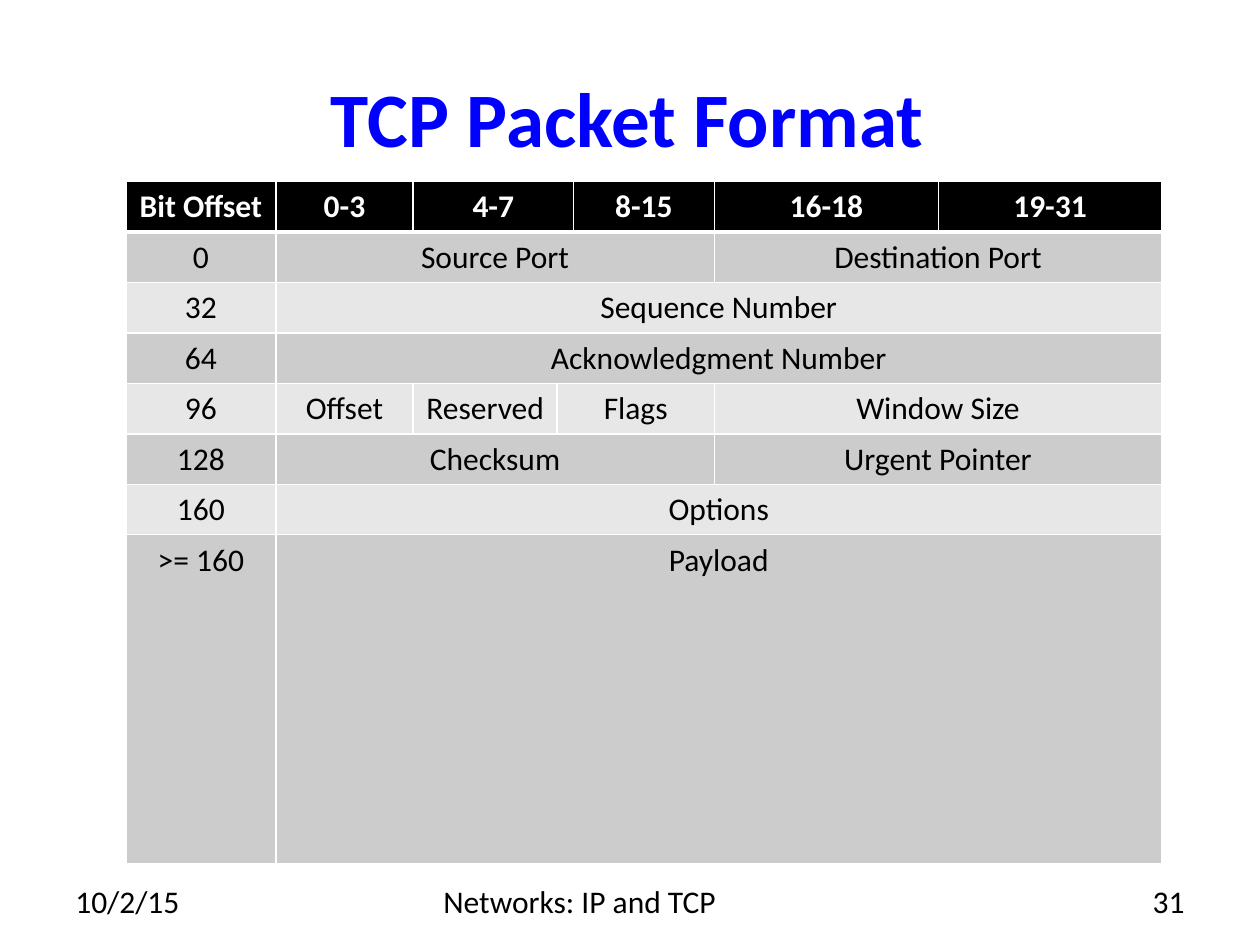
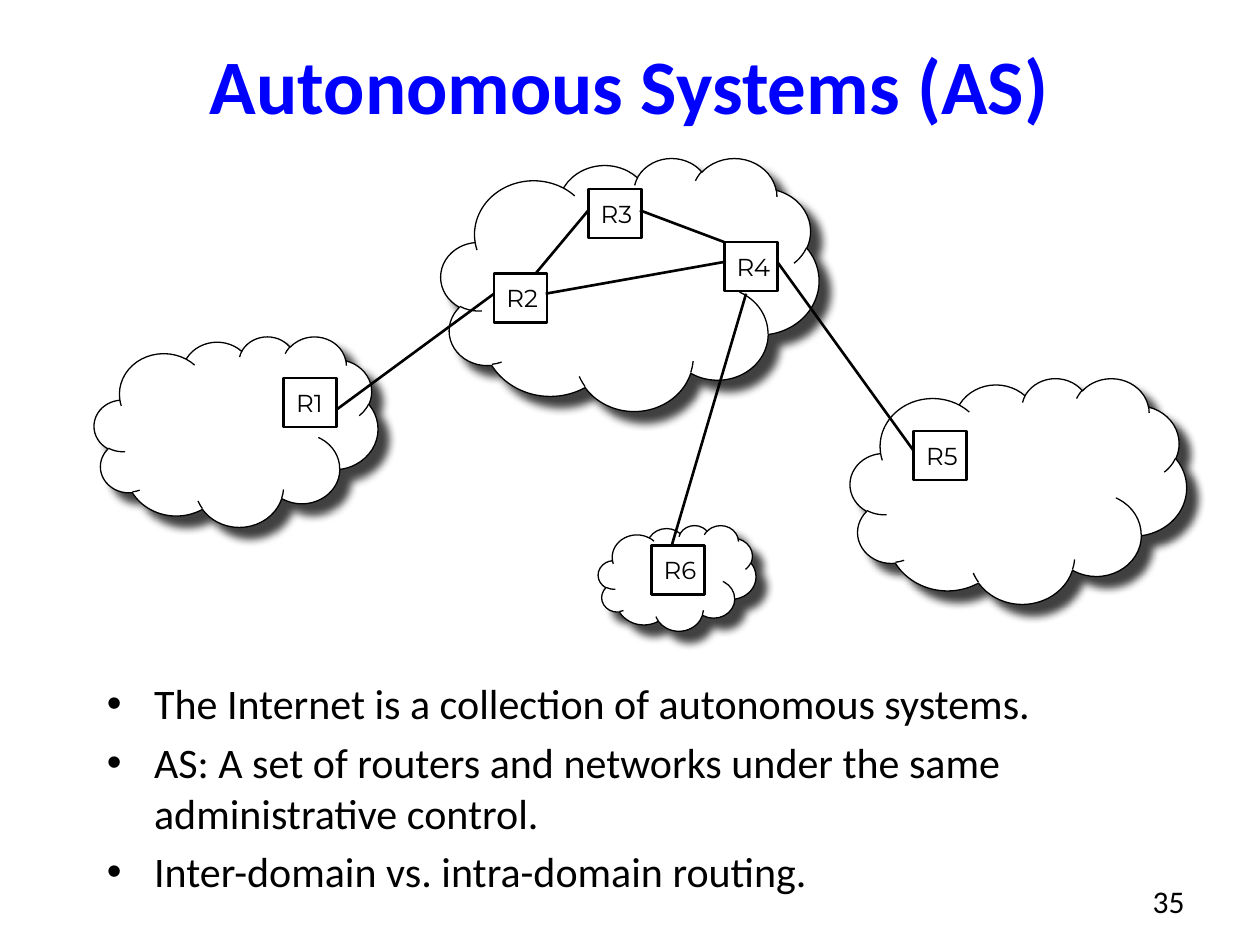
from dataclasses import dataclass

from lxml.etree import SubElement
from pptx import Presentation
from pptx.dml.color import RGBColor
from pptx.enum.shapes import MSO_CONNECTOR as Link, MSO_SHAPE as Preset
from pptx.enum.text import MSO_ANCHOR as Anchor, MSO_AUTO_SIZE as AutoSize, PP_ALIGN as Align
from pptx.oxml.ns import qn
from pptx.util import Cm, Pt


@dataclass(frozen=True)
class Theme:
    ink: str = "000000"
    paper: str = "FFFFFF"
    title: str = "0000FF"
    dark_band: str = "CCCCCC"
    light_band: str = "E7E7E7"
    font: str = "Calibri"
    label_font: str = "Montserrat"
    title_size: int = 44
    body_size: int = 24
    small_size: int = 18
    label_size: int = 14
    thin: float = 0.75
    medium: float = 1.5


THEME = Theme()
TITLE_ONLY, TITLE_AND_LIST = 5, 1
FOOTER_TOP, FOOTER_HEIGHT = 17.65, 1.02

# Header fields: each cell is (text, columns covered)
COLUMN_WIDTHS = [3.02, 2.77, 2.9, 0.33, 2.84, 4.52, 4.5]
ROW_HEIGHTS = [0.86] * 7 + [6.63]
PACKET_ROWS = [
    [("Bit Offset", 1), ("0-3", 1), ("4-7", 2), ("8-15", 1), ("16-18", 1), ("19-31", 1)],
    [("0", 1), ("Source Port", 4), ("Destination Port", 2)],
    [("32", 1), ("Sequence Number", 6)],
    [("64", 1), ("Acknowledgment Number", 6)],
    [("96", 1), ("Offset", 1), ("Reserved", 1), ("Flags", 2), ("Window Size", 2)],
    [("128", 1), ("Checksum", 4), ("Urgent Pointer", 2)],
    [("160", 1), ("Options", 6)],
    [(">= 160", 1), ("Payload", 6)],
]

# Network map: clouds are left, top, width, height; links are x1, y1, x2, y2
CLOUDS = [
    (17.14, 7.62, 6.78, 4.55),
    (1.9, 6.78, 5.72, 3.84),
    (8.89, 3.18, 7.62, 5.1),
    (12.06, 10.59, 3.18, 2.13),
]
ROUTERS = {
    "R1": (5.72, 7.62),
    "R2": (9.96, 5.51),
    "R3": (11.86, 3.81),
    "R4": (14.6, 4.88),
    "R5": (18.42, 8.69),
    "R6": (13.13, 11),
}
LINKS = [
    (6.78, 8.26, 9.96, 5.92),
    (11, 5.92, 14.6, 5.28),
    (15.67, 5.28, 18.42, 9.09),
    (13.54, 11, 15.04, 5.92),
    (12.9, 4.24, 14.6, 4.88),
    (10.8, 5.51, 11.86, 4.24),
]
AS_POINTS = [
    "The Internet is a collection of autonomous systems.",
    "AS: A set of routers and networks under the same administrative control.",
    "Inter-domain vs. intra-domain routing.",
]


def rgb(value):
    return RGBColor.from_string(value)


def assign(target, **values):
    for name, value in values.items():
        setattr(target, name, value)


class SlideBuilder:
    def __init__(self, deck, theme):
        self.deck = deck
        self.theme = theme
        self.page = None

    def new_page(self, layout):
        self.page = self.deck.slides.add_slide(self.deck.slide_layouts[layout])

    def add_text(self, para, text, color, size, font=None, bold=False, align=Align.LEFT):
        para.alignment = align
        span = para.add_run()
        span.text = text
        assign(span.font, name=font or self.theme.font, size=Pt(size), bold=bold)
        span.font.color.rgb = rgb(color)

    def place(self, box, left, top, width, height):
        assign(box, left=Cm(left), top=Cm(top), width=Cm(width), height=Cm(height))

    def title(self, text, *bounds, margin_right=0.25):
        box = self.page.shapes.title
        self.place(box, *bounds)
        assign(box.text_frame, word_wrap=True, auto_size=AutoSize.NONE,
               vertical_anchor=Anchor.MIDDLE, margin_right=Cm(margin_right))
        self.add_text(box.text_frame.paragraphs[0], text, self.theme.title,
                      self.theme.title_size, bold=True, align=Align.CENTER)

    def bullets(self, points, *bounds):
        box = self.page.placeholders[1]
        self.place(box, *bounds)
        frame = box.text_frame
        assign(frame, word_wrap=True, auto_size=AutoSize.NONE)
        for index, point in enumerate(points):
            para = frame.add_paragraph() if index else frame.paragraphs[0]
            para.space_before = Pt(4.8 if index else 0)
            self.add_text(para, point, self.theme.ink, self.theme.body_size)

    def footer(self, text, left, width, align=Align.LEFT):
        box = self.page.shapes.add_textbox(
            Cm(left), Cm(FOOTER_TOP), Cm(width), Cm(FOOTER_HEIGHT))
        box.text_frame.word_wrap = True
        self.add_text(box.text_frame.paragraphs[0], text, self.theme.ink,
                      self.theme.small_size, align=align)

    def page_number(self, number):
        self.footer(str(number), 18.21, 5.92, Align.RIGHT)

    def cell_borders(self, cell, top, bottom):
        properties = cell._tc.get_or_add_tcPr()
        for side, points in {"lnL": 1, "lnR": 1, "lnT": top, "lnB": bottom}.items():
            line = SubElement(properties, qn(f"a:{side}"), w=str(Pt(points)))
            fill = SubElement(line, qn("a:solidFill"))
            SubElement(fill, qn("a:srgbClr"), val=self.theme.paper)

    def table(self, rows, left, top, widths, heights):
        theme = self.theme
        grid = self.page.shapes.add_table(
            len(rows), len(widths), Cm(left), Cm(top),
            Cm(sum(widths)), Cm(sum(heights))).table
        for column, width in zip(grid.columns, widths):
            column.width = Cm(width)
        for index, (row, height) in enumerate(zip(rows, heights)):
            grid.rows[index].height = Cm(height)
            header = index == 0
            band = theme.ink if header else theme.dark_band if index % 2 else theme.light_band
            for cell in grid.rows[index].cells:
                self.cell_borders(cell, 3 if index == 1 else 1, 3 if header else 1)
                cell.fill.solid()
                cell.fill.fore_color.rgb = rgb(band)
            start = 0
            for text, span in row:
                cell = grid.cell(index, start)
                if span > 1:
                    cell.merge(grid.cell(index, start + span - 1))
                self.add_text(cell.text_frame.paragraphs[0], text,
                              theme.paper if header else theme.ink,
                              theme.small_size, bold=header, align=Align.CENTER)
                start += span

    def shape(self, preset, bounds, weight):
        box = self.page.shapes.add_shape(preset, *map(Cm, bounds))
        box.shadow.inherit = False
        box.fill.solid()
        box.fill.fore_color.rgb = rgb(self.theme.paper)
        box.line.color.rgb = rgb(self.theme.ink)
        box.line.width = Pt(weight)
        return box

    def cloud(self, *bounds):
        box = self.shape(Preset.CLOUD, bounds, self.theme.thin)
        effects = box._element.spPr.find(qn("a:effectLst"))
        shadow = SubElement(effects, qn("a:outerShdw"), blurRad=str(Pt(5)),
                            dist=str(Pt(8.5)), dir=str(45 * 60000),
                            algn="ctr", rotWithShape="0")
        color = SubElement(shadow, qn("a:srgbClr"), val=self.theme.ink)
        SubElement(color, qn("a:alpha"), val="75000")

    def router(self, name, left, top):
        box = self.shape(Preset.RECTANGLE, (left, top, 1.07, 0.99), self.theme.medium)
        assign(box.text_frame, word_wrap=False, vertical_anchor=Anchor.MIDDLE)
        self.add_text(box.text_frame.paragraphs[0], name, self.theme.ink,
                      self.theme.label_size, font=self.theme.label_font)

    def link(self, *ends):
        line = self.page.shapes.add_connector(Link.STRAIGHT, *map(Cm, ends))
        line.line.color.rgb = rgb(self.theme.ink)
        line.line.width = Pt(self.theme.medium)
        SubElement(line._element.spPr, qn("a:effectLst"))


def packet_format(builder):
    builder.new_page(TITLE_ONLY)
    builder.title("TCP Packet Format", 1.27, 0.76, 22.86, 3.18, margin_right=0.36)
    builder.footer("10/2/15", 1.27, 5.92)
    builder.footer("Networks: IP and TCP", 8.69, 8.05)
    builder.page_number(31)
    builder.table(PACKET_ROWS, 2.54, 3.66, COLUMN_WIDTHS, ROW_HEIGHTS)


def autonomous_systems(builder):
    builder.new_page(TITLE_AND_LIST)
    builder.title("Autonomous Systems (AS)", 1.9, 0.64, 21.59, 2.11)
    builder.bullets(AS_POINTS, 1.9, 13.54, 21.59, 4.88)
    for bounds in CLOUDS:
        builder.cloud(*bounds)
    for name, corner in ROUTERS.items():
        builder.router(name, *corner)
    for ends in LINKS:
        builder.link(*ends)
    builder.page_number(35)


def main():
    deck = Presentation()
    assign(deck, slide_width=Cm(25.4), slide_height=Cm(19.05))
    builder = SlideBuilder(deck, THEME)
    packet_format(builder)
    autonomous_systems(builder)
    deck.save("out.pptx")


if __name__ == "__main__":
    main()
